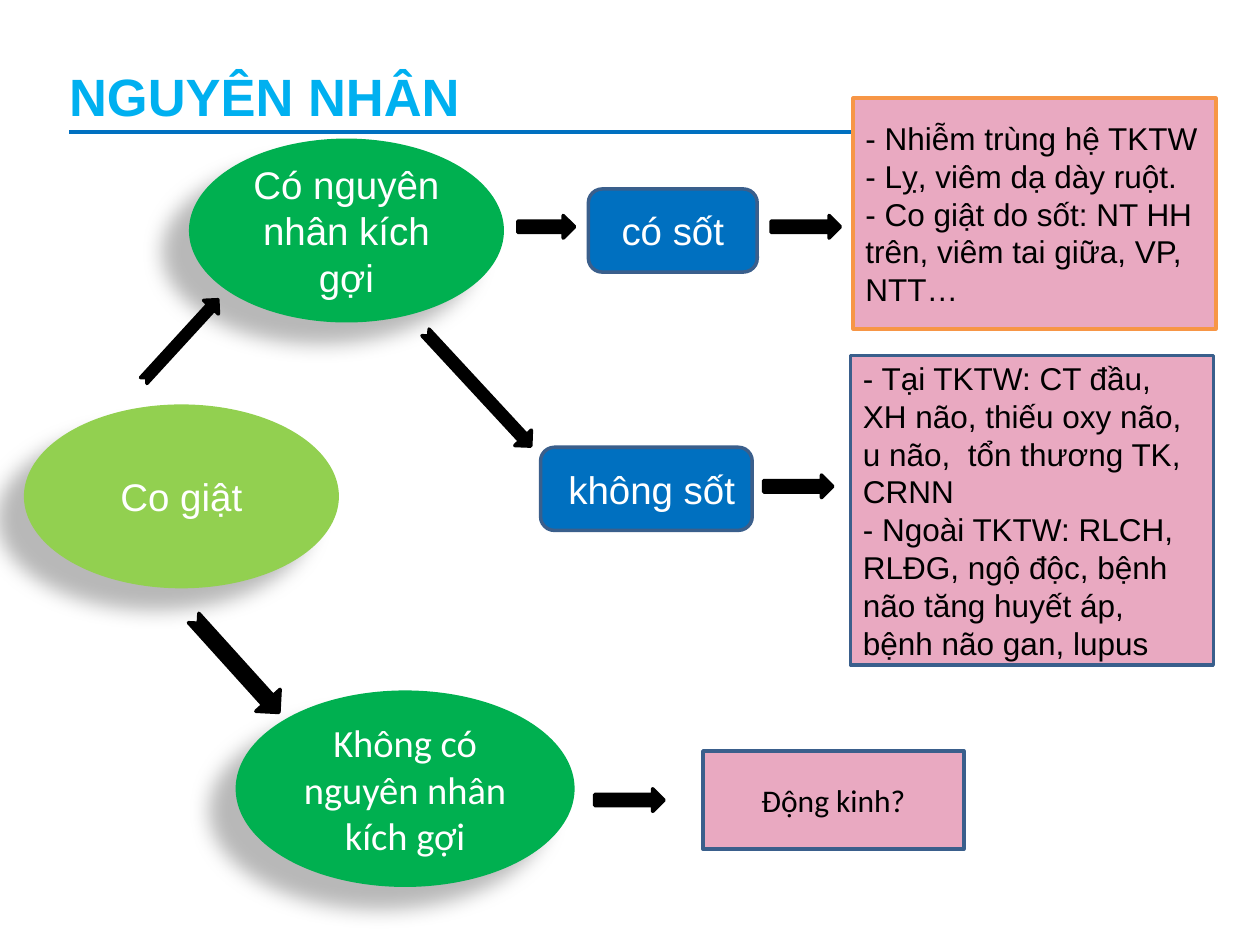
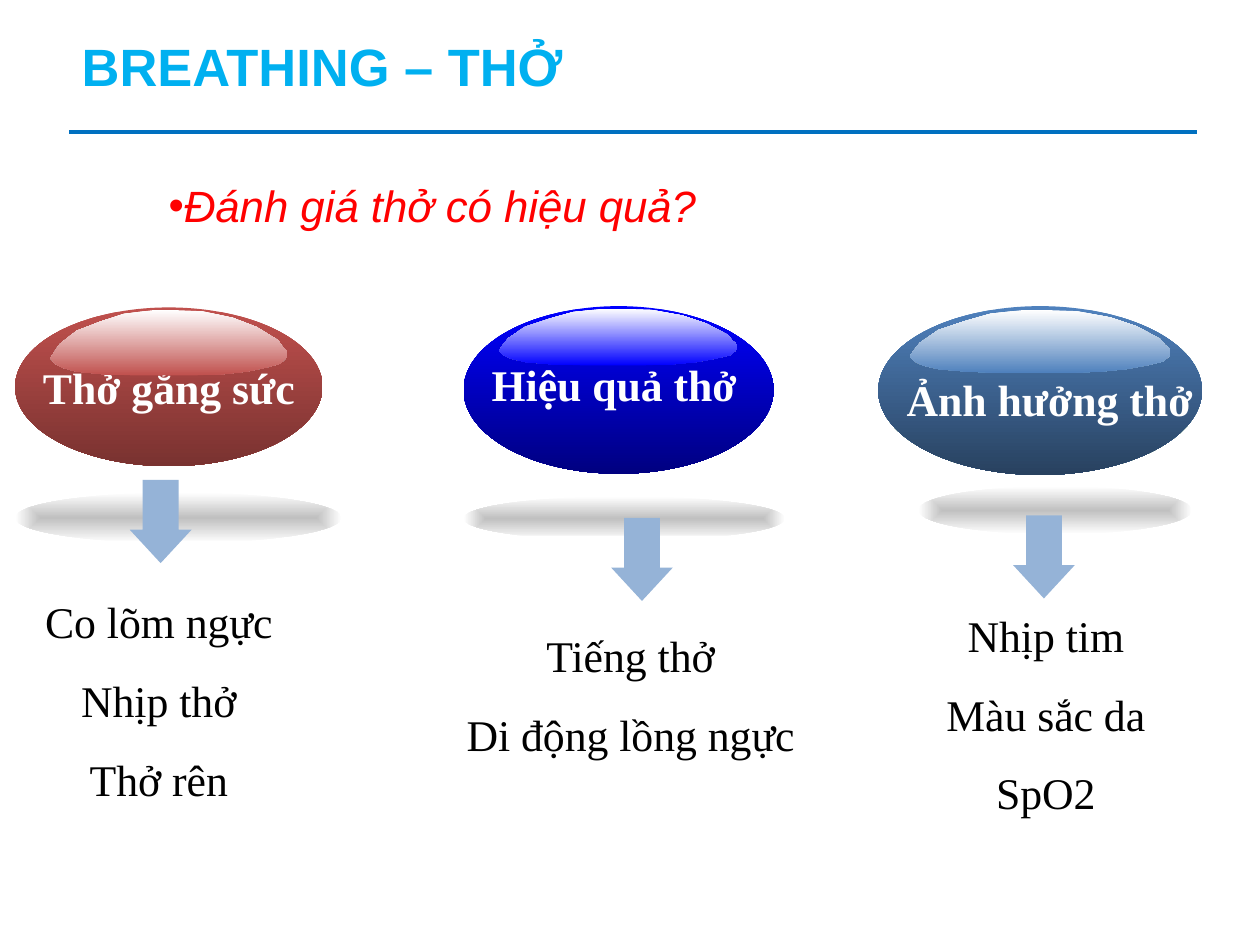
from dataclasses import dataclass, replace
from typing import NamedTuple, Optional

from lxml import etree
from pptx import Presentation
from pptx.dml.color import RGBColor
from pptx.enum.shapes import MSO_CONNECTOR as Link, MSO_SHAPE as Kind
from pptx.enum.text import MSO_ANCHOR as Anchor, PP_ALIGN as Align
from pptx.oxml.ns import qn
from pptx.shapes.autoshape import Shape
from pptx.slide import Slide
from pptx.util import Inches, Pt

HEX = {
    "title": "00B0F0", "rule": "0070C0", "green": "00B050", "lime": "92D050",
    "pink": "E9A9C1", "navy": "3A5F8C", "orange": "F79646", "sky": "95B3D7",
    "red": "FF0000", "black": "000000", "white": "FFFFFF", "grey": "C0C0C0",
    "brick": "C0504D", "wine": "793230", "blue": "0000FF", "ink": "000080",
    "steel": "4F81BD", "slate": "28415F",
}
SERIF = "Times New Roman"


class Rect(NamedTuple):
    """Left, top, width and height in inches."""
    x: float
    y: float
    w: float
    h: float

    def emu(self) -> tuple:
        return tuple(Inches(v) for v in self)


@dataclass(frozen=True)
class Style:
    size: float
    color: str
    font: str = "Arial"
    bold: bool = False
    slant: bool = False
    align: Align = Align.CENTER
    pitch: Optional[float] = None
    wrap: bool = True
    anchor: Anchor = Anchor.MIDDLE


HEAD = Style(30, "title", bold=True, align=Align.LEFT)
NODE = Style(22, "white")
NOTE = Style(18, "black", align=Align.LEFT)
ASK = Style(25, "red", slant=True, align=Align.LEFT, anchor=Anchor.TOP)
LABEL = Style(25, "white", SERIF, bold=True, wrap=False)
SIGN = Style(25, "black", SERIF, pitch=1.5)


@dataclass(frozen=True)
class Node:
    kind: Kind
    at: Rect
    fill: str
    lines: tuple
    style: Style = NODE
    edge: Optional[str] = None


class Arrow(NamedTuple):
    at: Rect
    turn: float = 0


class Card(NamedTuple):
    ball: Rect
    gloss: Rect
    shade: Rect
    label: Rect
    text: str
    light: str
    dark: str


class Signs(NamedTuple):
    at: Rect
    arrow: Rect
    lines: tuple


OVAL, PILL, BOX = Kind.OVAL, Kind.ROUNDED_RECTANGLE, Kind.RECTANGLE
NODES = [
    Node(OVAL, Rect(1.5, 1.1, 2.5, 1.46), "green", ("Có nguyên nhân kích gợi",)),
    Node(OVAL, Rect(1.87, 5.48, 2.69, 1.56), "green",
         ("Không có nguyên nhân kích gợi",), replace(NODE, font="Calibri")),
    Node(OVAL, Rect(0.19, 3.21, 2.5, 1.46), "lime", ("Co giật",)),
    Node(PILL, Rect(4.67, 1.5, 1.34, 0.66), "rule", ("có sốt",), edge="navy"),
    Node(PILL, Rect(4.29, 3.55, 1.68, 0.66), "rule", (" không sốt",), edge="navy"),
    Node(BOX, Rect(6.77, 0.78, 2.88, 1.83), "pink",
         ("- Nhiễm trùng hệ TKTW", "- Lỵ, viêm dạ dày ruột.",
          "- Co giật do sốt: NT HH trên, viêm tai giữa, VP, NTT…"), NOTE, "orange"),
    Node(BOX, Rect(6.75, 2.82, 2.88, 2.46), "pink",
         ("- Tại TKTW: CT đầu, XH não, thiếu oxy não, u não,  tổn thương TK, CRNN",
          "- Ngoài TKTW: RLCH, RLĐG, ngộ độc, bệnh não tăng huyết áp, "
          "bệnh não gan, lupus"), NOTE, "navy"),
    Node(BOX, Rect(5.58, 5.96, 2.07, 0.78), "pink", ("Động kinh?",),
         replace(NOTE, font="Calibri", align=Align.CENTER), "navy"),
]
ARROWS = [
    Arrow(Rect(6.12, 1.71, 0.55, 0.18)),
    Arrow(Rect(4.11, 1.71, 0.45, 0.18)),
    Arrow(Rect(6.06, 3.77, 0.55, 0.18)),
    Arrow(Rect(4.72, 6.26, 0.55, 0.18)),
    Arrow(Rect(1, 2.62, 0.87, 0.16), 312.5),
    Arrow(Rect(1.37, 5.15, 1.01, 0.26), 47.9),
    Arrow(Rect(3.18, 3, 1.23, 0.18), 47.2),
]
CARDS = [
    Card(Rect(0.12, 2.44, 2.44, 1.26), Rect(0.4, 2.46, 1.88, 0.52),
         Rect(0.12, 3.91, 2.59, 0.4), Rect(0.12, 2.44, 2.44, 1.26),
         "Thở gắng sức", "brick", "wine"),
    Card(Rect(3.68, 2.43, 2.46, 1.33), Rect(3.96, 2.45, 1.89, 0.45),
         Rect(3.68, 3.94, 2.55, 0.35), Rect(3.77, 2.79, 2.21, 0.52),
         "Hiệu quả thở", "blue", "ink"),
    Card(Rect(6.97, 2.43, 2.57, 1.34), Rect(7.22, 2.46, 2.07, 0.5),
         Rect(7.29, 3.86, 2.17, 0.38), Rect(6.88, 2.89, 2.9, 0.56),
         "Ảnh hưởng thở", "steel", "slate"),
]
SIGNS = [
    Signs(Rect(0.25, 4.29, 2.02, 2.32), Rect(1.03, 3.81, 0.49, 0.66),
          ("Co lõm ngực", "Nhịp thở", "Thở rên")),
    Signs(Rect(7.29, 4.4, 2.02, 2.32), Rect(8.04, 4.09, 0.49, 0.66),
          ("Nhịp tim", "Màu sắc da", "SpO2")),
    Signs(Rect(3.48, 4.25, 3.05, 2.32), Rect(4.85, 4.11, 0.49, 0.66),
          ("Tiếng thở", "Di động lồng ngực")),
]
# Outline of the gloss, in percent of its width and height
GLOSS = [
    (98, 56), (100, 63), (99.5, 72), (97, 82), (91, 88), (83, 94), (73, 98),
    (60, 100), (36, 100), (22, 98), (11, 94), (5, 88), (1.5, 82), (0, 74),
    (1.5, 62), (4, 52), (11, 32), (21, 18), (31, 6), (44, 0), (51, 0),
    (64, 2), (77, 12), (87, 26), (96, 46),
]


def tint(name: str) -> RGBColor:
    return RGBColor.from_string(HEX[name])


def write(shape: Shape, lines: tuple, style: Style) -> None:
    frame = shape.text_frame
    frame.word_wrap = style.wrap
    frame.vertical_anchor = style.anchor
    for i, line in enumerate(lines):
        para = frame.paragraphs[0] if i == 0 else frame.add_paragraph()
        para.alignment = style.align
        if style.pitch:
            para.line_spacing = style.pitch
        run = para.add_run()
        run.text = line
        font = run.font
        font.name, font.size = style.font, Pt(style.size)
        font.bold, font.italic = style.bold, style.slant
        font.color.rgb = tint(style.color)


def label(slide: Slide, at: Rect, text: str, style: Style) -> Shape:
    box = slide.shapes.add_textbox(*at.emu())
    write(box, (text,), style)
    return box


def paint(shape: Shape, fill: str, edge: Optional[str] = None) -> None:
    shape.shadow.inherit = False
    shape.fill.solid()
    shape.fill.fore_color.rgb = tint(fill)
    if edge:
        shape.line.color.rgb = tint(edge)
        shape.line.width = Pt(2)
    else:
        shape.line.fill.background()


def blend(shape: Shape, first: str, last: str) -> None:
    """Fill from the first colour at the top to the last at the bottom."""
    shape.shadow.inherit = False
    shape.line.fill.background()
    shape.fill.gradient()
    shape.fill.gradient_angle = 270
    for stop, name in zip(shape.fill.gradient_stops, (first, last)):
        stop.color.rgb = tint(name)


def spread(shape: Shape) -> None:
    """Turn a linear gradient into one that runs out from the centre."""
    grad = shape.fill._xPr.find(qn("a:gradFill"))
    line = grad.find(qn("a:lin"))
    path = etree.Element(qn("a:path"), path="shape")
    etree.SubElement(path, qn("a:fillToRect"), l="50000", t="50000",
                     r="50000", b="50000")
    grad.replace(line, path)


def cast(shape: Shape) -> None:
    """Add a soft shadow to the lower left."""
    glow = shape.element.spPr.find(qn("a:effectLst"))
    outer = etree.SubElement(
        glow, qn("a:outerShdw"), blurRad=str(Pt(11.8)), dist=str(Pt(19.7)),
        dir=str(141 * 60000), algn="ctr", rotWithShape="0")
    color = etree.SubElement(outer, qn("a:srgbClr"), val=HEX["black"])
    etree.SubElement(color, qn("a:alpha"), val="28000")


def start(deck: Presentation, title: str, at: Rect) -> Slide:
    """Add a slide with its rule and title."""
    slide = deck.slides.add_slide(deck.slide_layouts[6])
    rule = slide.shapes.add_connector(
        Link.STRAIGHT, Inches(0.55), Inches(1.05), Inches(9.5), Inches(1.05))
    rule.line.color.rgb = tint("rule")
    rule.line.width = Pt(2.25)
    etree.SubElement(rule.element.spPr, qn("a:effectLst"))
    label(slide, at, title, HEAD)
    return slide


def draw_node(slide: Slide, node: Node) -> None:
    shape = slide.shapes.add_shape(node.kind, *node.at.emu())
    paint(shape, node.fill, node.edge)
    if node.kind == OVAL:
        cast(shape)
    write(shape, node.lines, node.style)


def draw_arrow(slide: Slide, arrow: Arrow) -> None:
    kind = Kind.NOTCHED_RIGHT_ARROW if arrow.turn else Kind.RIGHT_ARROW
    shape = slide.shapes.add_shape(kind, *arrow.at.emu())
    if arrow.turn:
        shape.adjustments[0] = 0.43
    shape.rotation = arrow.turn
    paint(shape, "black", "black")


def draw_card(slide: Slide, card: Card) -> None:
    ball = slide.shapes.add_shape(OVAL, *card.ball.emu())
    blend(ball, card.light, card.dark)
    label(slide, card.label, card.text, LABEL)
    x, y, w, h = card.gloss.emu()
    pen = slide.shapes.build_freeform(*GLOSS[0], scale=(w / 100, h / 100))
    pen.add_line_segments(GLOSS[1:], close=True)
    blend(pen.convert_to_shape(x, y), "white", card.light)
    shade = slide.shapes.add_shape(OVAL, *card.shade.emu())
    blend(shade, "grey", "white")
    spread(shade)


def draw_signs(slide: Slide, signs: Signs) -> None:
    draw_node(slide, Node(BOX, signs.at, "white", signs.lines, SIGN))
    arrow = slide.shapes.add_shape(Kind.DOWN_ARROW, *signs.arrow.emu())
    arrow.adjustments[0], arrow.adjustments[1] = 0.58, 0.54
    paint(arrow, "sky")


def draw_ask(slide: Slide) -> None:
    box = label(slide, Rect(1.24, 1.37, 7.81, 0.6), "Đánh giá thở có hiệu quả?", ASK)
    props = box.text_frame.paragraphs[0]._p.get_or_add_pPr()
    props.set("marL", str(Inches(0.1)))
    props.set("indent", str(-Inches(0.1)))
    etree.SubElement(props, qn("a:buFont"), typeface="Arial")
    etree.SubElement(props, qn("a:buChar"), char="•")


def main() -> None:
    deck = Presentation()
    deck.slide_width, deck.slide_height = Inches(10), Inches(7.5)

    cause = start(deck, "NGUYÊN NHÂN", Rect(0.45, 0.29, 5.39, 0.93))
    for node in NODES:
        draw_node(cause, node)
    for arrow in ARROWS:
        draw_arrow(cause, arrow)

    breath = start(deck, "BREATHING – THỞ", Rect(0.55, 0.02, 8.95, 1))
    draw_ask(breath)
    for card in CARDS:
        draw_card(breath, card)
    for signs in SIGNS:
        draw_signs(breath, signs)

    deck.save("out.pptx")


if __name__ == "__main__":
    main()
